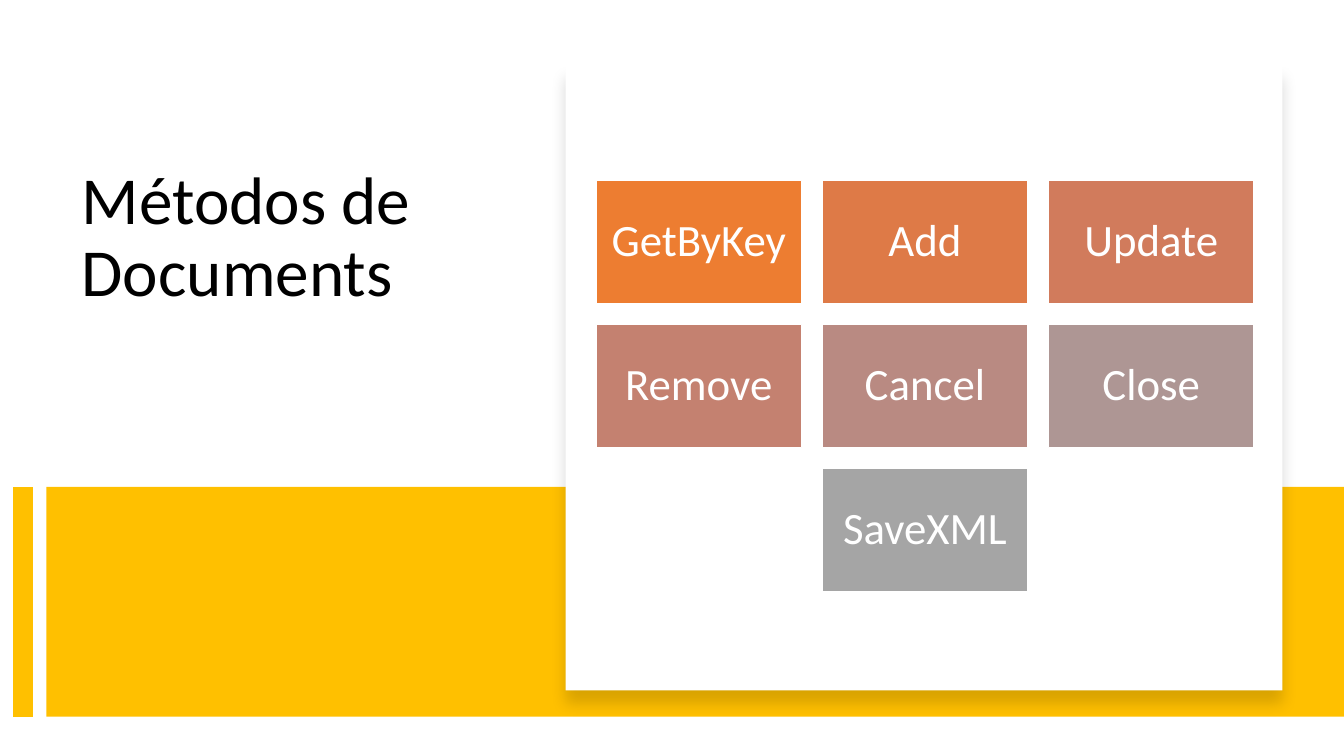
import pptx
import pptx.util
import pptx.dml.color
import pptx.enum.shapes
import pptx.enum.text
import pptx.oxml
import pptx.oxml.ns
import lxml.etree

RGBColor = pptx.dml.color.RGBColor
Inches = pptx.util.Inches
Pt = pptx.util.Pt
RECT = pptx.enum.shapes.MSO_SHAPE.RECTANGLE

BLACK = RGBColor(0x00, 0x00, 0x00)
WHITE = RGBColor(0xFF, 0xFF, 0xFF)
GOLD = RGBColor(0xFF, 0xC0, 0x00)
METHODS = [
    ("GetByKey", RGBColor(0xED, 0x7D, 0x31)),
    ("Add", RGBColor(0xDE, 0x7A, 0x47)),
    ("Update", RGBColor(0xD1, 0x7B, 0x5C)),
    ("Remove", RGBColor(0xC4, 0x81, 0x70)),
    ("Cancel", RGBColor(0xB9, 0x8A, 0x82)),
    ("Close", RGBColor(0xAE, 0x96, 0x94)),
    ("SaveXML", RGBColor(0xA5, 0xA5, 0xA5)),
]
FONT = "Calibri"
COLS = 3
GAP_SHARE = 0.11
TILE_RATIO = 0.6
SHADOW = (
    '<a:effectLst xmlns:a="http://schemas.openxmlformats.org/drawingml/2006/main">'
    '<a:outerShdw blurRad="139700" dist="127000" dir="5400000" algn="t" rotWithShape="0">'
    '<a:srgbClr val="000000"><a:alpha val="15000"/></a:srgbClr>'
    '</a:outerShdw></a:effectLst>'
)


def add_run(p, text, size, color):
    p.line_spacing = 0.9
    r = p.add_run()
    r.text = text
    r.font.name = FONT
    r.font.size = Pt(size)
    r.font.color.rgb = color


def add_rect(s, box, fill):
    sp = s.shapes.add_shape(RECT, *[Inches(v) for v in box])
    sp.shadow.inherit = False
    sp.fill.solid()
    sp.fill.fore_color.rgb = fill
    sp.line.fill.background()
    return sp


def add_title(s, box, text):
    sp = s.shapes.title
    sp.left, sp.top, sp.width, sp.height = [Inches(v) for v in box]
    tf = sp.text_frame
    tf.word_wrap = True
    tf.vertical_anchor = pptx.enum.text.MSO_ANCHOR.TOP
    p = tf.paragraphs[0]
    p.alignment = pptx.enum.text.PP_ALIGN.LEFT
    add_run(p, text, 48, BLACK)


def add_band(s, box):
    x, y, w, h = box
    inset = 0.23
    add_rect(s, (x + inset, y, w - inset, h), GOLD)
    line = s.shapes.add_connector(
        pptx.enum.shapes.MSO_CONNECTOR.STRAIGHT,
        Inches(x), Inches(y), Inches(x), Inches(y + h))
    line.line.color.rgb = GOLD
    line.line.width = Pt(14)
    spPr = line._element.spPr
    lxml.etree.SubElement(spPr, pptx.oxml.ns.qn("a:effectLst"))


def add_card(s, box):
    sp = add_rect(s, box, WHITE)
    spPr = sp._element.spPr
    spPr.remove(spPr.find(pptx.oxml.ns.qn("a:effectLst")))
    spPr.append(pptx.oxml.parse_xml(SHADOW))


def add_tile(s, box, name, fill):
    sp = add_rect(s, box, fill)
    sp.line.color.rgb = WHITE
    sp.line.width = Pt(1)
    tf = sp.text_frame
    tf.word_wrap = True
    tf.vertical_anchor = pptx.enum.text.MSO_ANCHOR.MIDDLE
    tf.margin_left = tf.margin_right = Inches(0.13)
    tf.margin_top = tf.margin_bottom = Inches(0.13)
    p = tf.paragraphs[0]
    p.alignment = pptx.enum.text.PP_ALIGN.CENTER
    add_run(p, name, 32, WHITE)


def add_method_grid(s, box, methods):
    x, y, w, h = box
    tile_w = w / (COLS + (COLS - 1) * GAP_SHARE * 0.9)
    gap = (w - COLS * tile_w) / (COLS - 1)
    tile_h = tile_w * TILE_RATIO
    for i, (name, fill) in enumerate(methods):
        row, col = divmod(i, COLS)
        in_row = min(COLS, len(methods) - row * COLS)
        col += (COLS - in_row) / 2
        place = (x + col * (tile_w + gap), y + row * (tile_h + gap), tile_w, tile_h)
        add_tile(s, place, name, fill)


def main():
    prs = pptx.Presentation()
    prs.slide_width = Inches(13.33)
    prs.slide_height = Inches(7.5)
    s = prs.slides.add_slide(prs.slide_layouts[5])
    add_title(s, (0.71, 1.6, 4.15, 2.94), "Métodos de Documents")
    add_band(s, (0.23, 4.83, 13.1, 2.28))
    add_card(s, (5.61, 0.64, 7.11, 6.21))
    add_method_grid(s, (5.91, 1.79, 6.53, 4.08), METHODS)
    prs.save("out.pptx")


if __name__ == "__main__":
    main()
